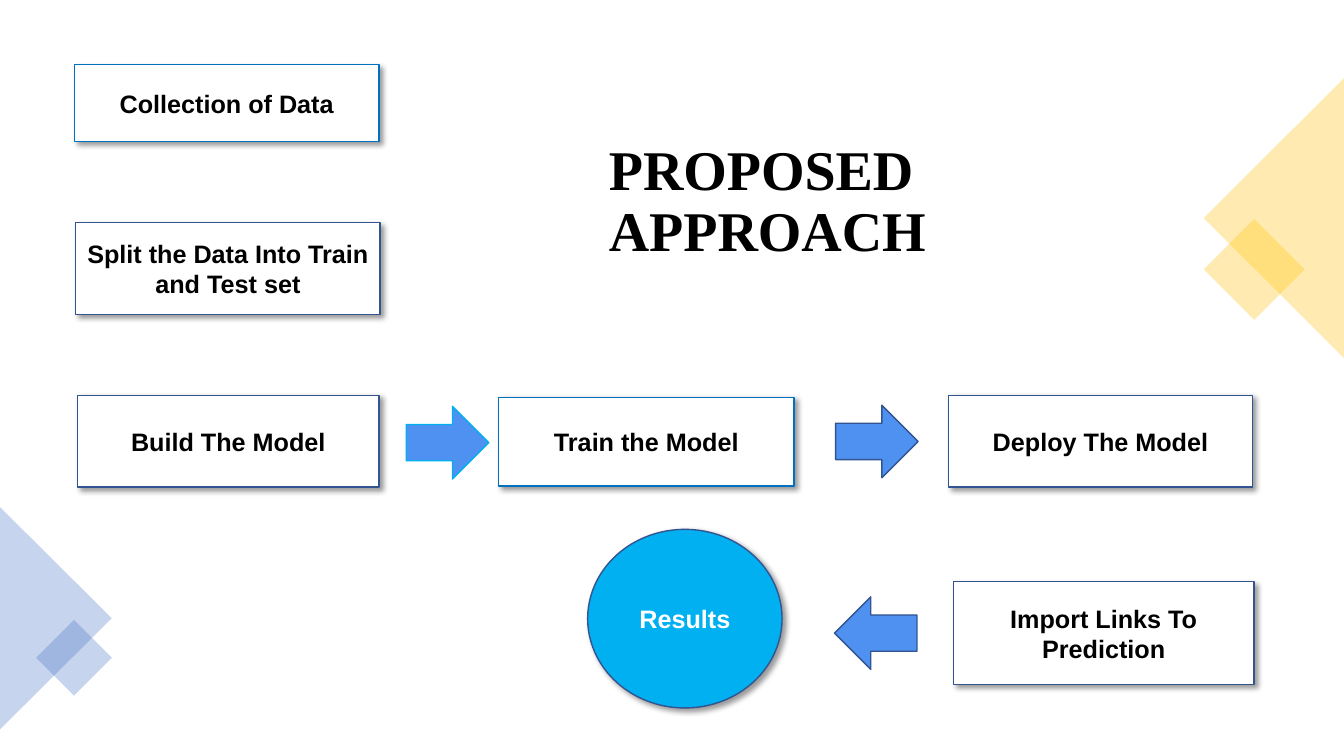
from pptx import Presentation
from pptx import util as u
from pptx.dml.color import RGBColor
from pptx.enum import shapes, text
from pptx.oxml import parse_xml
from pptx.oxml import ns

KIND = shapes.MSO_SHAPE
BLACK, WHITE, NAVY, BLUE, SKY = "000000", "FFFFFF", "325491", "0070C0", "00B0F0"
GOLD, INDIGO, ARROW_BLUE = "FFC000", "4472C4", "4E91F0"
SHADOW = (
    f'<a:outerShdw {ns.nsdecls("a")} blurRad="50800" dist="38100" dir="2700000" '
    'algn="tl" rotWithShape="0"><a:srgbClr val="000000"><a:alpha val="40000"/>'
    "</a:srgbClr></a:outerShdw>"
)


def add_figure(kind, place, fill, line=None):
    shape = page.shapes.add_shape(kind, *[u.Cm(length) for length in place])
    shape.shadow.inherit = False
    shape.fill.solid()
    shape.fill.fore_color.rgb = RGBColor.from_string(fill)
    if line:
        shape.line.color.rgb = RGBColor.from_string(line)
        shape.line.width = u.Pt(1)
    else:
        shape.line.fill.background()
    return shape


def style_text(para, font, size, color, align):
    para.alignment = align
    for span in para.runs:
        span.font.name = font
        span.font.size = u.Pt(size)
        span.font.bold = True
        span.font.color.rgb = RGBColor.from_string(color)


deck = Presentation()
deck.slide_width, deck.slide_height = u.Cm(33.87), u.Cm(19.05)
page = deck.slides.add_slide(deck.slide_layouts[5])

# Title
title = page.shapes.title
title.left, title.top, title.width, title.height = u.Cm(15.09), u.Cm(3.56), u.Cm(9.25), u.Cm(3.1)
title.text_frame.text = "PROPOSED APPROACH"
title.text_frame.word_wrap = True
title.text_frame.vertical_anchor = text.MSO_ANCHOR.MIDDLE
title_para = title.text_frame.paragraphs[0]
title_para.line_spacing = 0.9
style_text(title_para, "Times New Roman", 40, BLACK, text.PP_ALIGN.LEFT)

# Translucent corner decorations
decorations = [
    (KIND.RECTANGLE, (30.71, 5.89, 1.8, 1.8), 45, GOLD),
    (KIND.ISOSCELES_TRIANGLE, (28.58, 3.73, 7.04, 3.53), 270, GOLD),
    (KIND.ISOSCELES_TRIANGLE, (-1.4, 14.17, 5.61, 2.82), 90, INDIGO),
    (KIND.RECTANGLE, (1.19, 15.9, 1.35, 1.35), 45, INDIGO),
]
for kind, place, angle, color in decorations:
    decoration = add_figure(kind, place, color)
    decoration.rotation = angle
    tint = decoration._element.spPr.find(ns.qn("a:solidFill"))[0]
    tint.append(parse_xml(f'<a:alpha {ns.nsdecls("a")} val="30000"/>'))

# Arrows between steps
arrows = [
    (KIND.RIGHT_ARROW, 10.24, 10.24, SKY),
    (KIND.RIGHT_ARROW, 21.06, 10.21, NAVY),
    (KIND.LEFT_ARROW, 21.03, 15.04, NAVY),
]
for kind, left, top, line in arrows:
    add_figure(kind, (left, top, 2.08, 1.83), ARROW_BLUE, line)

# Steps of the approach, ending in the results circle
steps = [
    ("Collection of Data", KIND.RECTANGLE, (1.88, 1.63, 7.67, 1.93), WHITE, BLUE, BLACK),
    ("Split the Data Into Train and Test set", KIND.RECTANGLE, (1.91, 5.61, 7.67, 2.31), WHITE, NAVY, BLACK),
    ("Build The Model", KIND.RECTANGLE, (1.96, 9.96, 7.59, 2.31), WHITE, NAVY, BLACK),
    ("Train the Model", KIND.RECTANGLE, (12.57, 10.01, 7.44, 2.24), WHITE, BLUE, BLACK),
    ("Deploy The Model", KIND.RECTANGLE, (23.9, 9.96, 7.67, 2.31), WHITE, NAVY, BLACK),
    ("Import Links To Prediction", KIND.RECTANGLE, (24.03, 14.66, 7.57, 2.59), WHITE, NAVY, BLACK),
    ("Results", KIND.OVAL, (14.81, 13.34, 4.9, 4.5), SKY, NAVY, WHITE),
]
for label, kind, place, fill, line, color in steps:
    box = add_figure(kind, place, fill, line)
    box._element.spPr.find(ns.qn("a:effectLst")).append(parse_xml(SHADOW))
    box.text_frame.text = label
    box.text_frame.word_wrap = True
    box.text_frame.vertical_anchor = text.MSO_ANCHOR.MIDDLE
    style_text(box.text_frame.paragraphs[0], "Arial", 18, color, text.PP_ALIGN.CENTER)

deck.save("out.pptx")
